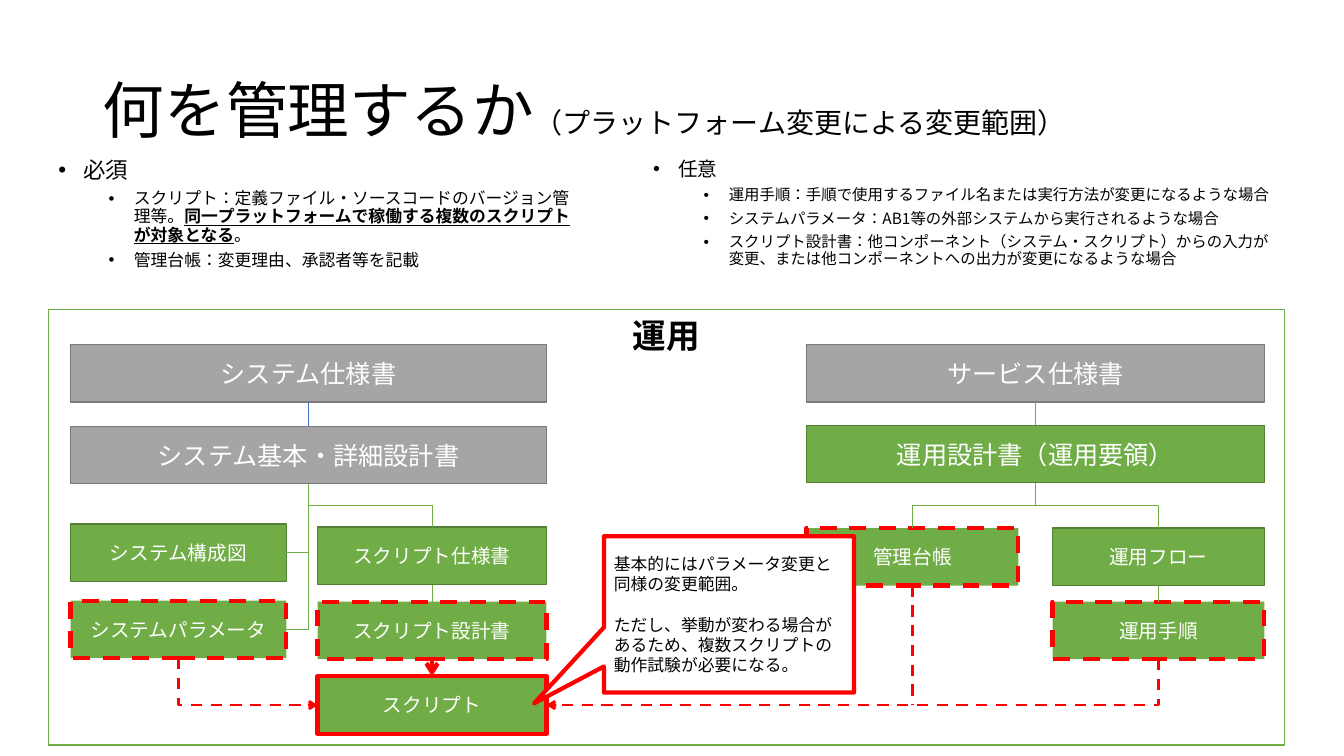
from dataclasses import dataclass
from typing import NamedTuple

from lxml.etree import SubElement
from pptx import Presentation
from pptx.dml.color import RGBColor
from pptx.enum.dml import MSO_LINE
from pptx.enum.lang import MSO_LANGUAGE_ID
from pptx.enum.shapes import MSO_CONNECTOR, MSO_SHAPE
from pptx.enum.text import MSO_ANCHOR, MSO_AUTO_SIZE, PP_ALIGN
from pptx.oxml.ns import qn
from pptx.util import Inches, Pt

FONT = "Noto Sans CJK JP"
BLACK = RGBColor(0x00, 0x00, 0x00)
WHITE = RGBColor(0xFF, 0xFF, 0xFF)
GREEN = RGBColor(0x70, 0xAD, 0x47)
DARK_GREEN = RGBColor(0x53, 0x80, 0x35)
GRAY = RGBColor(0xA5, 0xA5, 0xA5)
DARK_GRAY = RGBColor(0x7A, 0x7A, 0x7A)
BLUE = RGBColor(0x44, 0x72, 0xC4)
RED = RGBColor(0xFF, 0x00, 0x00)
BOX_HEIGHT = 0.57


class Point(NamedTuple):
    """A place on the slide, in inches."""
    x: float
    y: float


class Look(NamedTuple):
    """Fill and outline of a shape."""
    fill: RGBColor
    line: RGBColor
    width: float = 1
    dashed: bool = False


class Stroke(NamedTuple):
    """Style of a connector."""
    color: RGBColor = GREEN
    width: float = 0.5
    dashed: bool = False
    arrow: bool = False


class Words(NamedTuple):
    """One run of text."""
    text: str
    strong: bool = False


@dataclass(frozen=True)
class Box:
    """A document box in the diagram, in inches."""
    text: str
    left: float
    top: float
    width: float
    look: Look
    size: float = 14

    @property
    def head(self) -> Point:
        return Point(self.left + self.width / 2, self.top)

    @property
    def foot(self) -> Point:
        return Point(self.left + self.width / 2, self.top + BOX_HEIGHT)

    @property
    def left_side(self) -> Point:
        return Point(self.left, self.top + BOX_HEIGHT / 2)

    @property
    def right_side(self) -> Point:
        return Point(self.left + self.width, self.top + BOX_HEIGHT / 2)


def add_run(paragraph, text: str, size: float, color: RGBColor = BLACK,
            bold: bool = False, underline: bool = False) -> None:
    """Append one formatted run."""
    run = paragraph.add_run()
    run.text = text
    font = run.font
    font.name, font.size, font.bold, font.underline = FONT, Pt(size), bold, underline
    font.color.rgb = color
    font.language_id = MSO_LANGUAGE_ID.JAPANESE
    SubElement(run._r.get_or_add_rPr(), qn("a:ea")).set("typeface", FONT)


def add_panel(slide, kind, area: tuple, look: Look, anchor=MSO_ANCHOR.MIDDLE):
    """Add a filled and outlined shape, ready for text."""
    shape = slide.shapes.add_shape(kind, *map(Inches, area))
    shape.shadow.inherit = False
    shape.fill.solid()
    shape.fill.fore_color.rgb = look.fill
    shape.line.color.rgb = look.line
    shape.line.width = Pt(look.width)
    if look.dashed:
        shape.line.dash_style = MSO_LINE.DASH
    shape.text_frame.word_wrap = True
    shape.text_frame.vertical_anchor = anchor
    return shape


def add_box(slide, box: Box) -> None:
    """Draw a document box with its centred label."""
    area = (box.left, box.top, box.width, BOX_HEIGHT)
    paragraph = add_panel(slide, MSO_SHAPE.RECTANGLE, area, box.look).text_frame.paragraphs[0]
    paragraph.alignment = PP_ALIGN.CENTER
    add_run(paragraph, box.text, box.size, WHITE)


def add_line(slide, start: Point, end: Point, stroke: Stroke = Stroke(),
             kind=MSO_CONNECTOR.STRAIGHT):
    """Draw a connector from start to end."""
    ends = map(Inches, (*start, *end))
    connector = slide.shapes.add_connector(kind, *ends)
    connector.line.color.rgb = stroke.color
    connector.line.width = Pt(stroke.width)
    if stroke.dashed:
        connector.line.dash_style = MSO_LINE.DASH
    if stroke.arrow:
        SubElement(connector.line._get_or_add_ln(), qn("a:tailEnd")).set("type", "arrow")
    SubElement(connector._element.spPr, qn("a:effectLst"))
    return connector


def add_elbow(slide, start: Point, end: Point, stroke: Stroke = Stroke(),
              bends: int = 1) -> None:
    """Draw a bent connector that leaves its start downwards."""
    middle = Point((start.x + end.x) / 2, (start.y + end.y) / 2)
    rightward = end.x > start.x
    half_width = (end.y - start.y) / 2 * (-1 if rightward else 1)
    half_height = abs(end.x - start.x) / 2
    connector = add_line(slide, Point(middle.x - half_width, middle.y - half_height),
                         Point(middle.x + half_width, middle.y + half_height),
                         stroke, MSO_CONNECTOR.ELBOW)
    properties = connector._element.spPr
    properties.find(qn("a:xfrm")).set("rot", str((270 if rightward else 90) * 60000))
    properties.find(qn("a:prstGeom")).set("prst", f"bentConnector{bends + 1}")


def add_bullets(slide, area: tuple, heading: str, heading_size: float,
                items: list[list[Words]], item_size: float) -> None:
    """Add a heading bullet with indented bullets under it."""
    frame = slide.shapes.add_textbox(*map(Inches, area)).text_frame
    frame.word_wrap = True
    for index, item in enumerate([[Words(heading)], *items]):
        paragraph = frame.add_paragraph() if index else frame.paragraphs[0]
        paragraph.level = 1 if index else 0
        paragraph.line_spacing = 0.9
        paragraph.space_before = Pt(5 if index else 10)
        properties = paragraph._p.get_or_add_pPr()
        properties.set("marL", str(Inches(0.75 if index else 0.25)))
        properties.set("indent", str(Inches(-0.25)))
        SubElement(properties, qn("a:buFont")).set("typeface", "Arial")
        SubElement(properties, qn("a:buChar")).set("char", "•")
        for words in item:
            add_run(paragraph, words.text, item_size if index else heading_size,
                    bold=words.strong, underline=words.strong)


presentation = Presentation()
presentation.slide_width, presentation.slide_height = Inches(13.33), Inches(7.5)
slide = presentation.slides.add_slide(presentation.slide_layouts[5])

title = slide.shapes.title
title.left, title.top, title.width, title.height = map(Inches, (0.92, 0.4, 11.5, 1.45))
title.text_frame.word_wrap = True
title.text_frame.auto_size = MSO_AUTO_SIZE.NONE
title.text_frame.vertical_anchor = MSO_ANCHOR.MIDDLE
heading = title.text_frame.paragraphs[0]
heading.alignment, heading.line_spacing = PP_ALIGN.LEFT, 0.9
add_run(heading, "何を管理するか", 44)
add_run(heading, "（プラットフォーム変更による変更範囲）", 20)

add_bullets(slide, (0.48, 1.53, 5.29, 1.49), "必須", 16, [
    [Words("スクリプト：定義ファイル・ソースコードのバージョン管理等。"),
     Words("同一プラットフォームで稼働する複数のスクリプトが対象となる", True), Words("。")],
    [Words("管理台帳：変更理由、承認者等を記載")]], 12)
add_bullets(slide, (6.38, 1.53, 6.36, 1.49), "任意", 14, [
    [Words("運用手順：手順で使用するファイル名または実行方法が変更になるような場合")],
    [Words("システムパラメータ：AB1等の外部システムから実行されるような場合")],
    [Words("スクリプト設計書：他コンポーネント（システム・スクリプト）からの入力が変更、"
           "または他コンポーネントへの出力が変更になるような場合")]], 11)

frame = add_panel(slide, MSO_SHAPE.RECTANGLE, (0.48, 3.07, 12.26, 4.32),
                  Look(WHITE, GREEN), MSO_ANCHOR.TOP)
frame.text_frame.paragraphs[0].alignment = PP_ALIGN.CENTER
add_run(frame.text_frame.paragraphs[0], "運用", 24, bold=True)

outside = Look(GRAY, DARK_GRAY)
managed = Look(GREEN, DARK_GREEN)
affected = Look(GREEN, RED, 3, True)
changed = Look(GREEN, RED, 3)
system_spec = Box("システム仕様書", 0.7, 3.42, 4.72, outside, 18)
system_design = Box("システム基本・詳細設計書", 0.7, 4.23, 4.72, outside, 18)
system_diagram = Box("システム構成図", 0.7, 5.2, 2.14, managed)
system_parameter = Box("システムパラメータ", 0.7, 5.96, 2.14, affected)
script_spec = Box("スクリプト仕様書", 3.15, 5.23, 2.27, managed)
script_design = Box("スクリプト設計書", 3.15, 5.97, 2.27, affected)
script = Box("スクリプト", 3.15, 6.71, 2.27, changed)
service_spec = Box("サービス仕様書", 8, 3.42, 4.54, outside, 18)
operation_design = Box("運用設計書（運用要領）", 8, 4.22, 4.54, managed, 18)
ledger = Box("管理台帳", 8, 5.24, 2.1, affected)
operation_flow = Box("運用フロー", 10.44, 5.24, 2.1, managed)
operation_steps = Box("運用手順", 10.44, 5.97, 2.1, affected)
for box in (system_spec, system_design, system_diagram, system_parameter, script_spec,
            script_design, script, service_spec, operation_design, ledger,
            operation_flow, operation_steps):
    add_box(slide, box)

add_line(slide, system_spec.foot, system_design.head, Stroke(BLUE))
for upper, lower in ((script_spec, script_design), (service_spec, operation_design),
                     (operation_flow, operation_steps)):
    add_line(slide, upper.foot, lower.head)
for child in (system_diagram, system_parameter):
    add_elbow(slide, system_design.foot, child.right_side)
for parent, child in ((system_design, script_spec), (operation_design, operation_flow),
                      (operation_design, ledger)):
    add_elbow(slide, parent.foot, child.head, bends=2)

impact = Stroke(RED, 2, True, True)
add_line(slide, script_design.foot, script.head, Stroke(RED, 3, arrow=True))
add_elbow(slide, operation_steps.foot, script.right_side, impact)
add_elbow(slide, system_parameter.foot, script.left_side, impact)
add_line(slide, ledger.foot, Point(ledger.foot.x, script.right_side.y), Stroke(RED, 2, True))

callout = add_panel(slide, MSO_SHAPE.RECTANGULAR_CALLOUT, (5.99, 5.32, 2.48, 1.55),
                    Look(WHITE, RED, 3))
callout.adjustments[0], callout.adjustments[1] = -0.78, 0.57
scope = callout.text_frame.paragraphs[0]
caution = callout.text_frame.add_paragraph()
caution.space_before = Pt(14.5)
add_run(scope, "基本的にはパラメータ変更と同様の変更範囲。", 12)
add_run(caution, "ただし、挙動が変わる場合があるため、複数スクリプトの動作試験が必要になる。", 12)
for paragraph in (scope, caution):
    paragraph.alignment = PP_ALIGN.LEFT

presentation.save("out.pptx")
